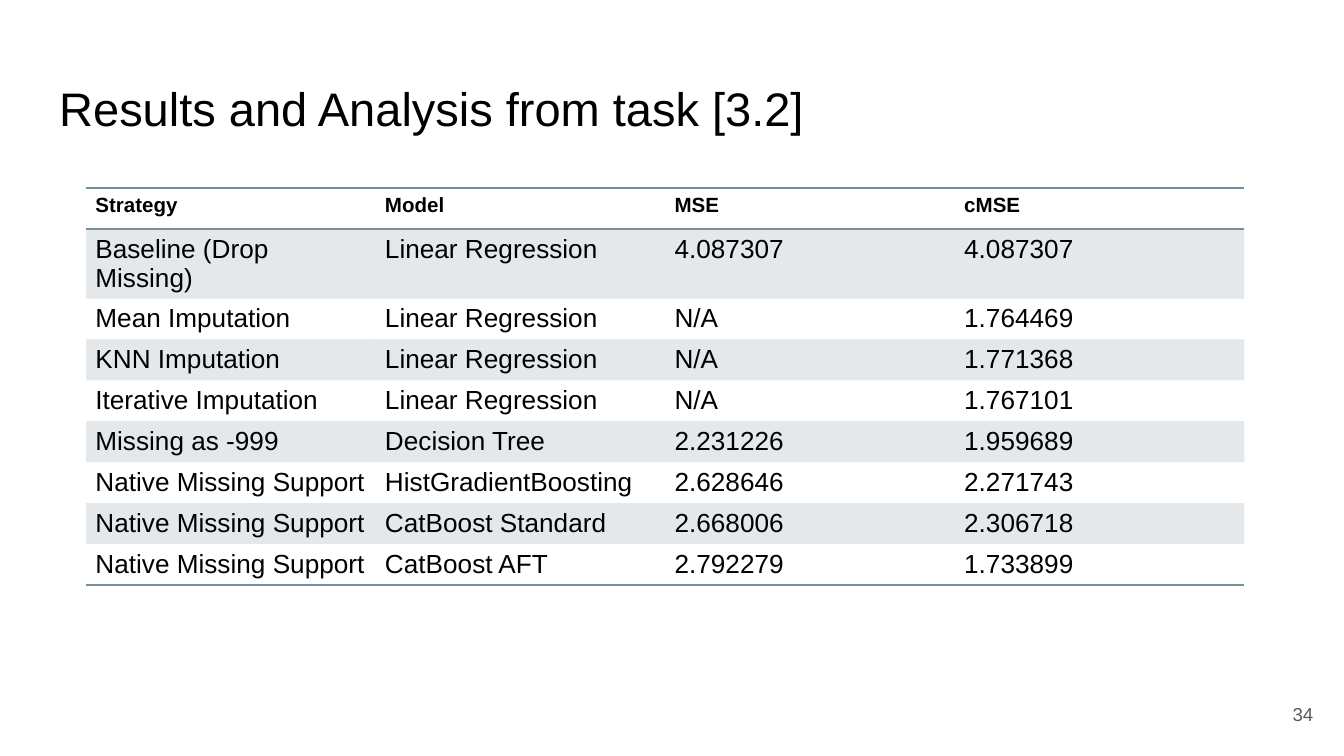
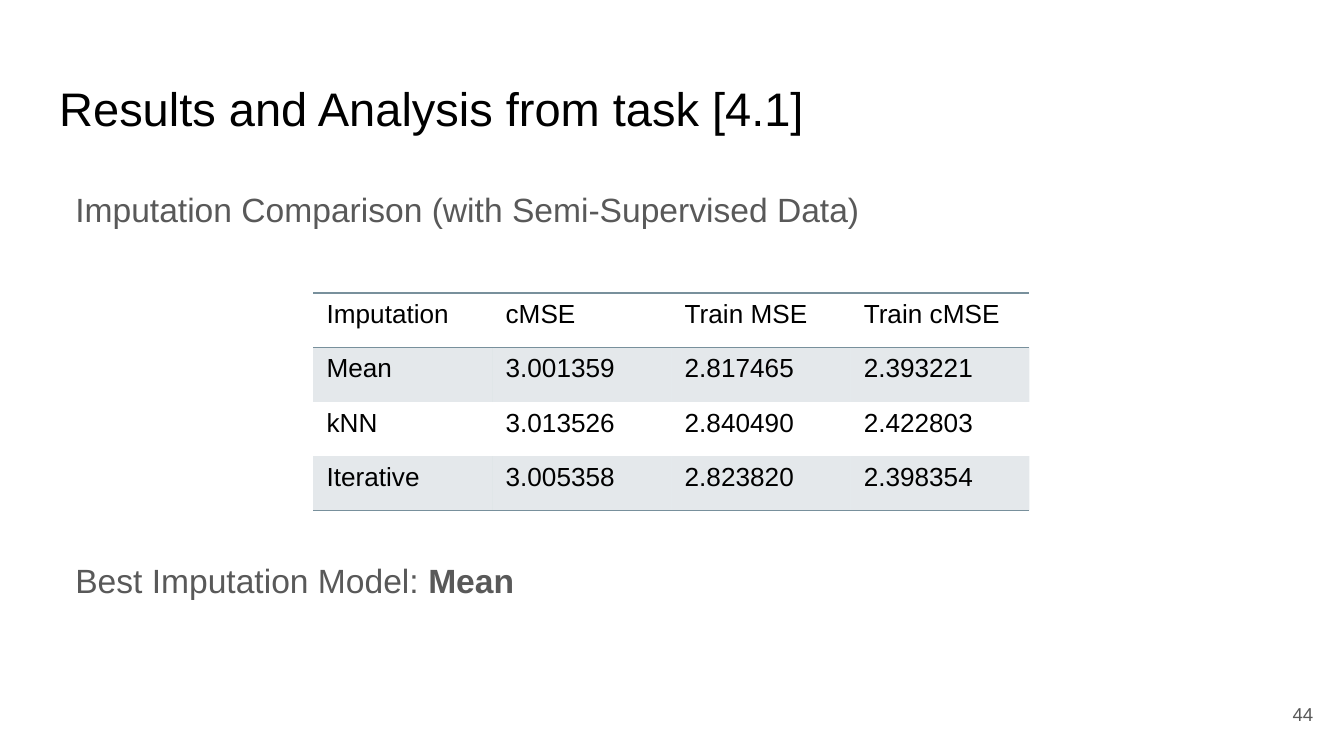
from lxml import etree
from pptx import Presentation
from pptx.dml.color import RGBColor
from pptx.enum.text import MSO_ANCHOR, MSO_AUTO_SIZE, PP_ALIGN
from pptx.oxml.ns import qn
from pptx.util import Inches, Pt

LEFT, RIGHT = PP_ALIGN.LEFT, PP_ALIGN.RIGHT
TOP, MIDDLE = MSO_ANCHOR.TOP, MSO_ANCHOR.MIDDLE
NO_AUTOFIT = MSO_AUTO_SIZE.NONE

FONT = "Arial"
BLACK, GREY, SLATE = "000000", "595959", "78909C"
WIDTH = 10
HEIGHT = WIDTH * 9 / 16
MARGIN = 0.34
CONTENT_WIDTH = WIDTH - 2 * MARGIN
PLAIN_TABLE = "{2D5ABB26-0587-4C30-8999-92F81FD0307C}"
TITLE_ONLY, TITLE_AND_BODY = 5, 1

STRATEGY_ROWS = [
    ("Strategy", "Model", "MSE", "cMSE"),
    ("Baseline (Drop Missing)", "Linear Regression", "4.087307", "4.087307"),
    ("Mean Imputation", "Linear Regression", "N/A", "1.764469"),
    ("KNN Imputation", "Linear Regression", "N/A", "1.771368"),
    ("Iterative Imputation", "Linear Regression", "N/A", "1.767101"),
    ("Missing as -999", "Decision Tree", "2.231226", "1.959689"),
    ("Native Missing Support", "HistGradientBoosting", "2.628646", "2.271743"),
    ("Native Missing Support", "CatBoost Standard", "2.668006", "2.306718"),
    ("Native Missing Support", "CatBoost AFT", "2.792279", "1.733899"),
]
IMPUTATION_ROWS = [
    ("Imputation", "cMSE", "Train MSE", "Train cMSE"),
    ("Mean", "3.001359", "2.817465", "2.393221"),
    ("kNN", "3.013526", "2.840490", "2.422803"),
    ("Iterative", "3.005358", "2.823820", "2.398354"),
]


def color(value):
    return RGBColor.from_string(value)


def style(para, size, ink, bold=None, align=LEFT):
    para.alignment = align
    para.font.name = FONT
    para.font.size = Pt(size)
    para.font.color.rgb = color(ink)
    para.font.bold = bold


def place(box, left, top, width, height, anchor=TOP):
    box.left, box.top = Inches(left), Inches(top)
    box.width, box.height = Inches(width), Inches(height)
    frame = box.text_frame
    frame.word_wrap = True
    frame.auto_size = NO_AUTOFIT
    frame.vertical_anchor = anchor
    frame.margin_left = frame.margin_right = Inches(0.1)
    frame.margin_top = frame.margin_bottom = Inches(0.1)
    return frame


def add_page(deck, layout, task, number):
    page = deck.slides.add_slide(deck.slide_layouts[layout])
    title = place(page.shapes.title, MARGIN, 0.49, CONTENT_WIDTH, 0.63)
    title.text = f"Results and Analysis from task [{task}]"
    style(title.paragraphs[0], 25.2, BLACK)
    number_box = page.shapes.add_textbox(0, 0, 0, 0)
    footer = place(number_box, 9.27, 5.1, 0.6, 0.43, MIDDLE)
    footer.text = str(number)
    style(footer.paragraphs[0], 10, GREY, align=RIGHT)
    return page


def fill_body(page, lines, gap):
    frame = place(page.placeholders[1], MARGIN, 1.26, CONTENT_WIDTH, 3.74)
    for index, spans in enumerate(lines):
        para = frame.add_paragraph() if index else frame.paragraphs[0]
        style(para, 18, GREY)
        para.line_spacing = 1.15
        para.space_before = Pt(gap if index else 0)
        properties = para._p.get_or_add_pPr()
        properties.set("marL", str(Inches(0.12)))
        properties.set("indent", "0")
        bullet = etree.Element(qn("a:buNone"))
        properties.find(qn("a:defRPr")).addprevious(bullet)
        for text, bold in spans:
            span = para.add_run()
            span.text = text
            if bold:
                span.font.bold = True


def add_border(cell, side):
    line = etree.Element(qn(f"a:ln{side}"), w=str(Pt(1)))
    fill = etree.SubElement(line, qn("a:solidFill"))
    etree.SubElement(fill, qn("a:srgbClr"), val=SLATE)
    cell._tc.get_or_add_tcPr().insert(0, line)


def shade(cell, banded):
    if not banded:
        cell.fill.background()
        return
    cell.fill.solid()
    cell.fill.fore_color.rgb = color(SLATE)
    tint = cell._tc.tcPr.find(".//" + qn("a:srgbClr"))
    etree.SubElement(tint, qn("a:alpha"), val="20000")


def add_ruled_table(page, rows, left, top, width, height,
                    padding, header_size=14, header_bold=False):
    columns = len(rows[0])
    holder = page.shapes.add_table(
        len(rows), columns, Inches(left), Inches(top),
        Inches(width), Inches(height))
    table = holder.table
    table.first_row = table.horz_banding = False
    table._tbl.tblPr.find(qn("a:tableStyleId")).text = PLAIN_TABLE
    for column in table.columns:
        column.width = Inches(width / columns)
    for index, row in enumerate(rows):
        header, last = index == 0, index == len(rows) - 1
        table.rows[index].height = Inches(height / len(rows))
        for cell, text in zip(table.rows[index].cells, row):
            cell.text = text
            cell.margin_left = cell.margin_right = Inches(padding[0])
            cell.margin_top = cell.margin_bottom = Inches(padding[1])
            size = header_size if header else 14
            style(cell.text_frame.paragraphs[0], size, BLACK,
                  header and header_bold)
            shade(cell, index % 2 == 1)
            if header or last:
                add_border(cell, "B")
            if header:
                add_border(cell, "T")


def main():
    deck = Presentation()
    deck.slide_width, deck.slide_height = Inches(WIDTH), Inches(HEIGHT)

    strategies = add_page(deck, TITLE_ONLY, "3.2", 34)
    add_ruled_table(strategies, STRATEGY_ROWS, 0.64, 1.4, 8.62, 2.74,
                    (0.07, 0.04), header_size=11, header_bold=True)

    imputation = add_page(deck, TITLE_AND_BODY, "4.1", 44)
    fill_body(imputation, [
        [("Imputation Comparison (with Semi-Supervised Data)", False)],
        [("Best Imputation Model: ", False), ("Mean", True)],
    ], gap=174)
    add_ruled_table(imputation, IMPUTATION_ROWS, 2.33, 2.18, 5.33, 1.62,
                    (0.1, 0.05))

    deck.save("out.pptx")


if __name__ == "__main__":
    main()
